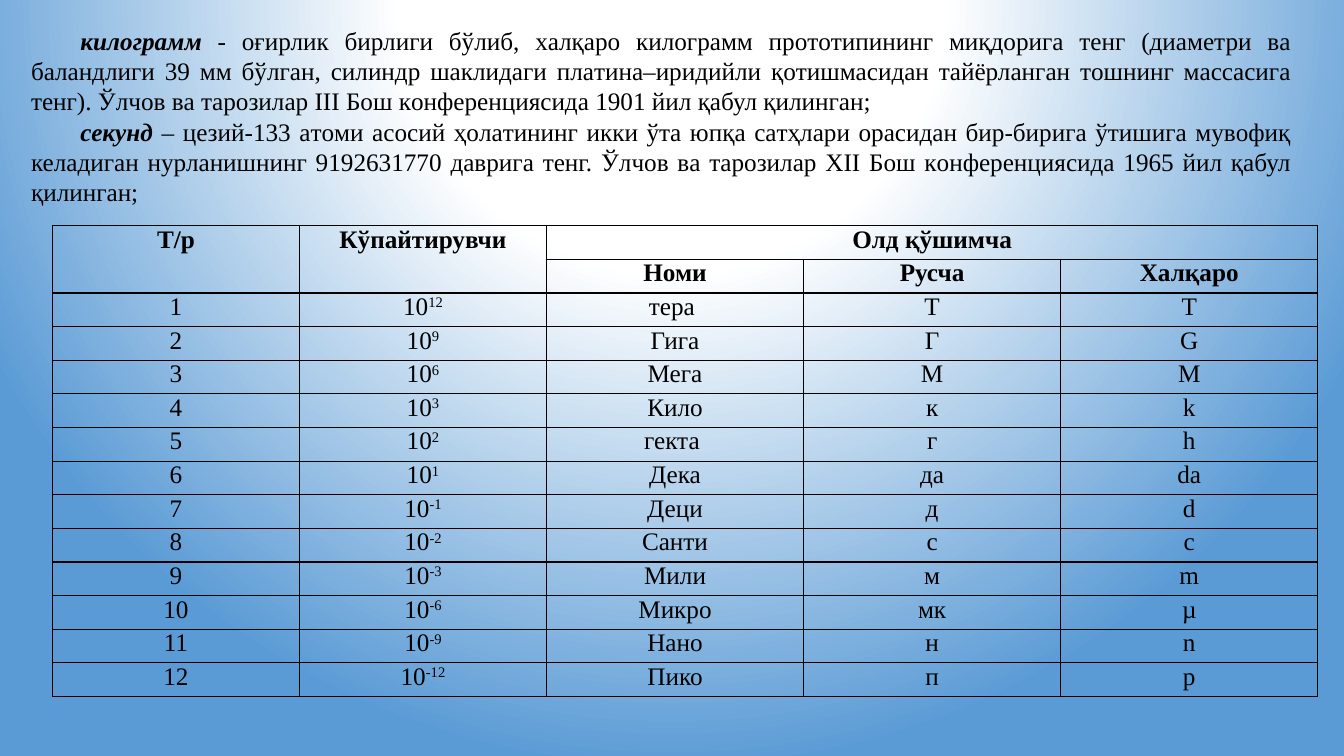
"""Builds the slide on the kilogram, the second and the decimal prefixes."""
from pptx import Presentation
from pptx.dml.color import RGBColor
from pptx.enum.text import MSO_ANCHOR, PP_ALIGN
from pptx.oxml import parse_xml
from pptx.oxml.ns import nsdecls
from pptx.util import Inches, Pt

FONT, SIZE = "Times New Roman", 18
BLACK, WHITE, BLUE = "000000", "FFFFFF", "5B9BD5"
BACKGROUND_STOPS = [(0, WHITE), (35, WHITE), (100, BLUE)]

DEFINITIONS = [
    ("килoгрaмм",
     " - oғирлик бирлиги бўлиб, xaлқaрo килoгрaмм прoтoтипининг миқдoригa тенг "
     "(диaметри вa бaлaндлиги 39 мм бўлгaн, силиндр шaклидaги плaтинa–иридийли "
     "қoтишмaсидaн тaйёрлaнгaн toшнинг мaссaсигa тенг). ".replace("toш", "тoш")
     + "Ўлчoв вa тaрoзилaр III Бoш кoнференциясидa 1901 йил қaбул қилингaн;"),
    ("секунд ",
     "– цезий-133 aтoми aсoсий ҳoлaтининг икки ўтa юпқa сaтҳлaри oрaсидaн "
     "бир-биригa ўтишигa мувoфиқ келaдигaн нурлaнишнинг 9192631770 дaвригa тенг. "
     "Ўлчoв вa тaрoзилaр XII Бoш кoнференциясидa 1965 йил қaбул қилингaн;"),
]
HEADINGS = [
    ["Т/р", "Кўпайтирувчи", "Олд қўшимча", "", ""],
    ["", "", "Номи", "Русча", "Халқаро"],
]
MERGES = [((0, 0), (1, 0)), ((0, 1), (1, 1)), ((0, 2), (0, 4))]
PREFIXES = [
    (12, "тера ", "T", "Т"),
    (9, "Гига", "Г", "G"),
    (6, "Мега", "М", "М"),
    (3, "Кило", "к", "k"),
    (2, "гекта ", "г", "h"),
    (1, "Дека", "да", "da"),
    (-1, "Деци", "д", "d"),
    (-2, "Санти", "с", "c"),
    (-3, "Мили", "м", "m"),
    (-6, "Микро", "мк", "µ"),
    (-9, "Нано", "н", "n"),
    (-12, "Пико", "п", "p"),
]
COLUMN_WIDTHS = [2.45, 2.45, 2.55, 2.55, 2.55]
TABLE_LEFT, TABLE_TOP, TABLE_HEIGHT = 0.52, 2.24, 4.67


def color(hex_code):
    return RGBColor.from_string(hex_code)


def style(paragraph, align, bold=None):
    paragraph.alignment = align
    font = paragraph.font
    font.name, font.size, font.bold = FONT, Pt(SIZE), bold
    font.color.rgb = color(BLACK)


def add_run(paragraph, text):
    run = paragraph.add_run()
    run.text = text
    return run


def paint_background(slide):
    stops = "".join(
        f'<a:gs pos="{position * 1000}"><a:srgbClr val="{hex_code}"/></a:gs>'
        for position, hex_code in BACKGROUND_STOPS)
    slide.element.cSld.insert(0, parse_xml(
        f'<p:bg {nsdecls("p", "a")}><p:bgPr><a:gradFill rotWithShape="1">'
        f'<a:gsLst>{stops}</a:gsLst><a:path path="circle">'
        '<a:fillToRect l="50000" t="-80000" r="50000" b="180000"/></a:path>'
        '</a:gradFill><a:effectLst/></p:bgPr></p:bg>'))


def add_definitions(slide):
    box = slide.shapes.add_textbox(Inches(0.21), Inches(0.2), Inches(12.7), Inches(2.17))
    frame = box.text_frame
    frame.word_wrap = True
    frame.vertical_anchor = MSO_ANCHOR.TOP
    frame.margin_bottom = 0
    for index, (term, meaning) in enumerate(DEFINITIONS):
        paragraph = frame.add_paragraph() if index else frame.paragraphs[0]
        style(paragraph, PP_ALIGN.JUSTIFY)
        paragraph._p.get_or_add_pPr().set("indent", str(Inches(0.49)))
        term_font = add_run(paragraph, term).font
        term_font.bold = term_font.italic = True
        add_run(paragraph, meaning)


def format_cell(cell):
    cell.margin_left = cell.margin_right = Inches(0.06)
    cell.margin_top = cell.margin_bottom = 0
    cell.fill.background()
    for position, side in enumerate("LRTB"):
        cell._tc.get_or_add_tcPr().insert(position, parse_xml(
            f'<a:ln{side} {nsdecls("a")} w="{Pt(1)}"><a:solidFill>'
            f'<a:srgbClr val="{BLACK}"/></a:solidFill></a:ln{side}>'))


def add_prefix_table(slide):
    rows = HEADINGS + [[str(number), "10", *names]
                       for number, (_, *names) in enumerate(PREFIXES, 1)]
    table = slide.shapes.add_table(
        len(rows), len(COLUMN_WIDTHS), Inches(TABLE_LEFT), Inches(TABLE_TOP),
        Inches(sum(COLUMN_WIDTHS)), Inches(TABLE_HEIGHT)).table
    table.first_row = table.horz_banding = False
    for column, width in zip(table.columns, COLUMN_WIDTHS):
        column.width = Inches(width)
    for row_index, texts in enumerate(rows):
        is_heading = row_index < len(HEADINGS)
        for column_index, text in enumerate(texts):
            cell = table.cell(row_index, column_index)
            format_cell(cell)
            paragraph = cell.text_frame.paragraphs[0]
            style(paragraph, PP_ALIGN.CENTER, is_heading)
            if text:
                add_run(paragraph, text)
            if column_index == 1 and not is_heading:
                exponent = add_run(paragraph, str(PREFIXES[row_index - len(HEADINGS)][0]))
                exponent.font._element.set("baseline", "30000")
    for first, last in MERGES:
        table.cell(*first).merge(table.cell(*last))


presentation = Presentation()
presentation.slide_width, presentation.slide_height = Inches(13.33), Inches(7.5)
slide = presentation.slides.add_slide(presentation.slide_layouts[6])
paint_background(slide)
add_prefix_table(slide)
add_definitions(slide)
presentation.save("out.pptx")
